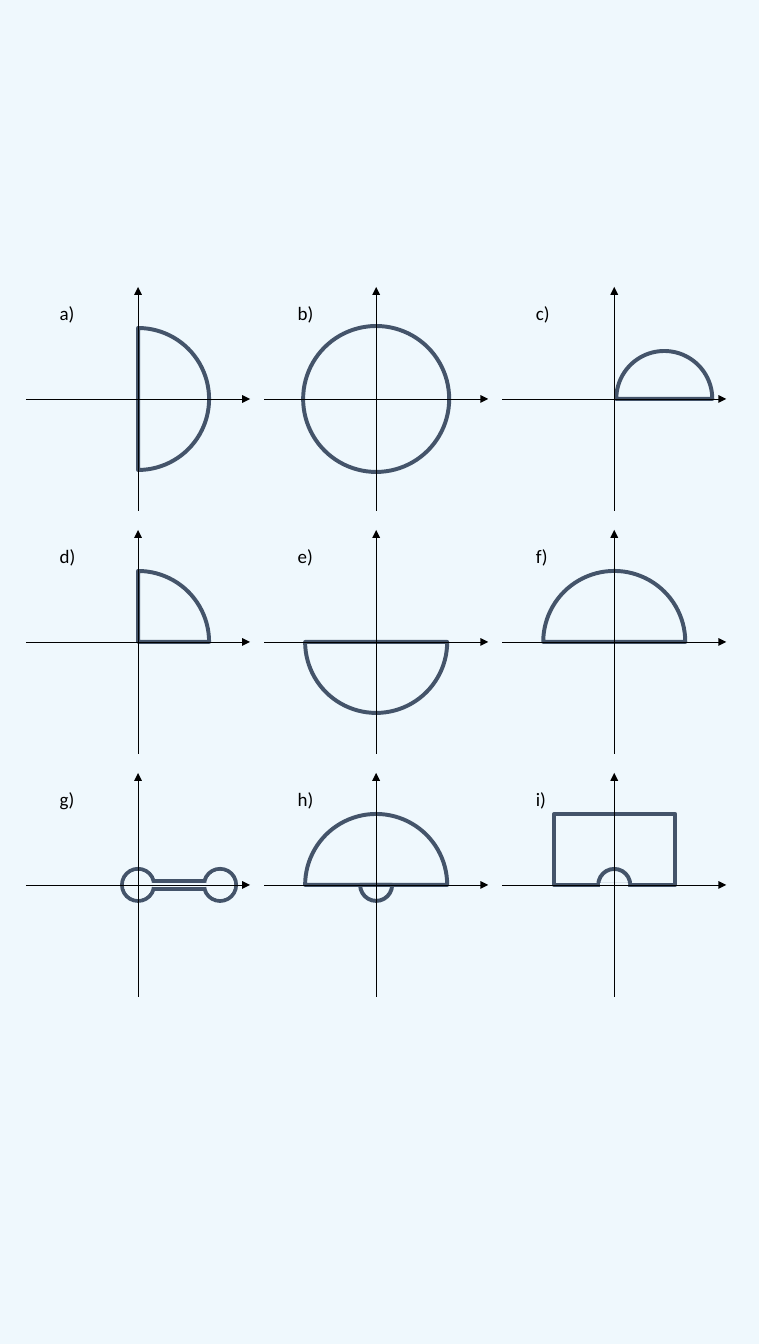
from dataclasses import dataclass

from lxml import etree
from pptx import Presentation
from pptx.dml.color import RGBColor
from pptx.enum.shapes import MSO_CONNECTOR, MSO_SHAPE
from pptx.enum.text import MSO_AUTO_SIZE
from pptx.oxml.ns import qn
from pptx.util import Cm, Emu, Pt

STRAIGHT = MSO_CONNECTOR.STRAIGHT
CIRCLE, PIE, RECTANGLE = MSO_SHAPE.OVAL, MSO_SHAPE.PIE, MSO_SHAPE.RECTANGLE
FIT_TEXT = MSO_AUTO_SIZE.SHAPE_TO_FIT_TEXT
EMU_PER_PIXEL = 914400 / 56.9


@dataclass(frozen=True)
class Theme:
    paper: RGBColor = RGBColor(0xEF, 0xF8, 0xFD)
    contour: RGBColor = RGBColor(0x44, 0x54, 0x6A)
    ink: RGBColor = RGBColor(0, 0, 0)
    font: str = "Calibri"
    label_size: int = 24
    contour_width: int = 5
    axis_width: int = 1


def emu(pixels):
    return Emu(round(pixels * EMU_PER_PIXEL))


class Sketch:
    """Draws on one page; places are measured from the current panel's origin."""

    def __init__(self, page, theme):
        self.page, self.theme = page, theme
        self.origin = (0, 0)
        page.background.fill.solid()
        page.background.fill.fore_color.rgb = theme.paper

    def place(self, x, y):
        return emu(self.origin[0] + x), emu(self.origin[1] + y)

    def shape(self, kind, left, top, width, height, outlined=True, filled=False):
        shape = self.page.shapes.add_shape(
            kind, *self.place(left, top), emu(width), emu(height))
        shape.shadow.inherit = False
        if filled:
            shape.fill.solid()
            shape.fill.fore_color.rgb = self.theme.paper
        else:
            shape.fill.background()
        if outlined:
            shape.line.color.rgb = self.theme.contour
            shape.line.width = Pt(self.theme.contour_width)
        else:
            shape.line.fill.background()
        return shape

    def circle(self, x, radius, **style):
        self.shape(CIRCLE, x - radius, -radius, 2 * radius, 2 * radius, **style)

    def sector(self, x, radius, start, end, **style):
        """A pie from start to end, in degrees clockwise from the right."""
        pie = self.shape(PIE, x - radius, -radius, 2 * radius, 2 * radius, **style)
        for index, angle in enumerate((start, end)):
            pie.adjustments[index] = angle * 0.6

    def line(self, start, end, color, width, arrow=False):
        line = self.page.shapes.add_connector(
            STRAIGHT, *self.place(*start), *self.place(*end))
        line.line.color.rgb = color
        line.line.width = Pt(width)
        if arrow:
            outline = line.line._get_or_add_ln()
            etree.SubElement(
                outline, qn("a:tailEnd"), type="triangle", w="lg", len="lg")
        etree.SubElement(line._element.spPr, qn("a:effectLst"))

    def axes(self, reach):
        for start, end in (((0, reach), (0, -reach)), ((-reach, 0), (reach, 0))):
            self.line(start, end, self.theme.ink, self.theme.axis_width, arrow=True)

    def label(self, text, left, top):
        box = self.page.shapes.add_textbox(
            *self.place(left, top), emu(27), emu(28))
        box.text_frame.word_wrap = False
        box.text_frame.auto_size = FIT_TEXT
        para = box.text_frame.paragraphs[0]
        para.text = text
        para.font.name = self.theme.font
        para.font.size = Pt(self.theme.label_size)
        para.font.color.rgb = self.theme.ink


# Contours
LARGE, SMALL = 71, 16
RIGHT_HALF, UPPER_HALF, LOWER_HALF = (270, 90), (180, 0), (0, 180)
UPPER_RIGHT = (270, 0)


def half_disc_pair(sketch):
    sketch.sector(0, LARGE, *UPPER_HALF)
    sketch.sector(0, SMALL, *LOWER_HALF)


def dented_rectangle(sketch):
    sketch.shape(RECTANGLE, -60, -LARGE, 121, LARGE)
    sketch.sector(0, SMALL, *UPPER_HALF)
    sketch.shape(RECTANGLE, -14, -2, 28, 10, outlined=False, filled=True)


def dumbbell(sketch):
    theme = sketch.theme
    for x, gap_side in ((0, 0), (82, 180)):
        sketch.sector(x, SMALL, gap_side + 16, (gap_side + 344) % 360, filled=True)
        sketch.circle(x, SMALL - 2, outlined=False, filled=True)
    for y in (-4, 4):
        sketch.line((15, y), (67, y), theme.contour, theme.contour_width)


CONTOURS = (
    ("a)", lambda sketch: sketch.sector(0, LARGE, *RIGHT_HALF)),
    ("b)", lambda sketch: sketch.circle(0, 73)),
    ("c)", lambda sketch: sketch.sector(50, 48, *UPPER_HALF)),
    ("d)", lambda sketch: sketch.sector(0, LARGE, *UPPER_RIGHT)),
    ("e)", lambda sketch: sketch.sector(0, LARGE, *LOWER_HALF)),
    ("f)", lambda sketch: sketch.sector(0, LARGE, *UPPER_HALF)),
    ("g)", dumbbell),
    ("h)", half_disc_pair),
    ("i)", dented_rectangle),
)

deck = Presentation()
deck.slide_width, deck.slide_height = Pt(960), Cm(60)
blank_layout = deck.slide_layouts[6]
sketch = Sketch(deck.slides.add_slide(blank_layout), Theme())

# Three by three panels, each a contour under its axes and a label
for index, (name, draw_contour) in enumerate(CONTOURS):
    row, column = divmod(index, 3)
    sketch.origin = (138 + 238 * column, 399 + 243 * row)
    draw_contour(sketch)
    sketch.axes(112)
    sketch.label(name, -84, -100)

deck.save("out.pptx")
